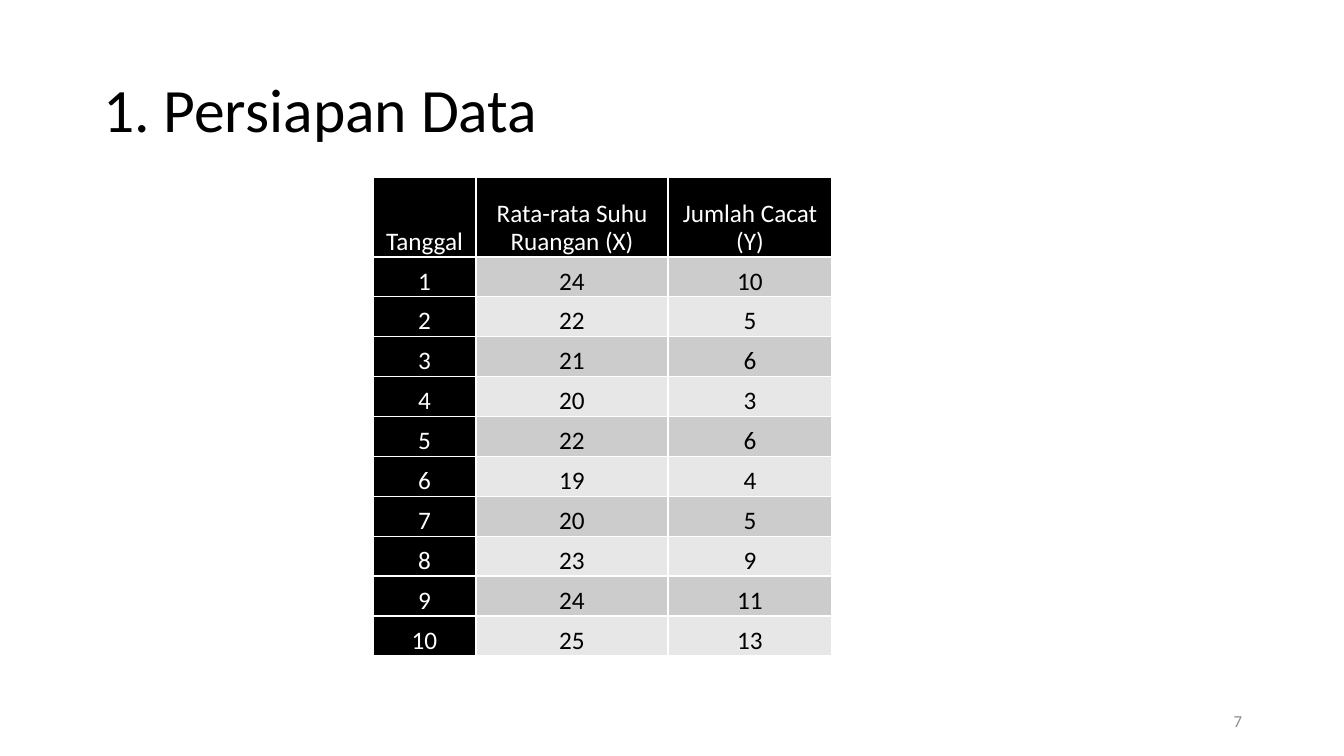
from pptx import Presentation
from pptx.dml.color import RGBColor
from pptx.enum.text import MSO_ANCHOR as Anchor, MSO_AUTO_SIZE as AutoSize, PP_ALIGN as Align
from pptx.oxml import parse_xml
from pptx.oxml.ns import nsdecls
from pptx.util import Pt

PIXEL = 914400 / 100.8
FONT = "Calibri"
BLACK = RGBColor(0x00, 0x00, 0x00)
WHITE = RGBColor(0xFF, 0xFF, 0xFF)
GRAY = RGBColor(0x8C, 0x8C, 0x8C)
DARK_BAND = RGBColor(0xCC, 0xCC, 0xCC)
LIGHT_BAND = RGBColor(0xE7, 0xE7, 0xE7)

HEADINGS = ("Tanggal", "Rata-rata Suhu Ruangan (X)", "Jumlah Cacat (Y)")
TEMPERATURES = (24, 22, 21, 20, 22, 19, 20, 23, 24, 25)
DEFECTS = (10, 5, 6, 3, 6, 4, 5, 9, 11, 13)
COLUMN_WIDTHS = (103, 192, 164)
HEADING_HEIGHT = 80


def emu(pixels):
    return round(pixels * PIXEL)


def write(frame, text, size, color, align, spacing=None):
    frame.text = text
    paragraph = frame.paragraphs[0]
    paragraph.alignment = align
    paragraph.line_spacing = spacing
    font = paragraph.runs[0].font
    font.name, font.size, font.color.rgb = FONT, Pt(size), color


def place_title(slide, box):
    title = slide.shapes.title
    title.left, title.top, title.width, title.height = map(emu, box)
    write(title.text_frame, "1. Persiapan Data", 44, BLACK, Align.LEFT, 0.9)
    title.text_frame.vertical_anchor = Anchor.MIDDLE
    title.text_frame.auto_size = AutoSize.NONE


def add_page_number(slide, box):
    frame = slide.shapes.add_textbox(*map(emu, box)).text_frame
    frame.word_wrap = True
    frame.vertical_anchor = Anchor.MIDDLE
    write(frame, "7", 12, GRAY, Align.RIGHT)


def add_borders(cell):
    properties = cell._tc.get_or_add_tcPr()
    for position, side in enumerate(("lnL", "lnR", "lnT", "lnB")):
        border = parse_xml(
            f'<a:{side} {nsdecls("a")} w="{Pt(1)}"><a:solidFill>'
            f'<a:srgbClr val="{WHITE}"/></a:solidFill></a:{side}>'
        )
        properties.insert(position, border)


def style_cell(cell, value, fill, color):
    cell.margin_left = cell.margin_right = cell.margin_top = cell.margin_bottom = 0
    cell.vertical_anchor = Anchor.BOTTOM
    cell.fill.solid()
    cell.fill.fore_color.rgb = fill
    write(cell.text_frame, str(value), 18, color, Align.CENTER, Pt(19.9))
    add_borders(cell)


def add_measurements(slide, box):
    days = range(1, len(DEFECTS) + 1)
    records = [HEADINGS, *zip(days, TEMPERATURES, DEFECTS)]
    table = slide.shapes.add_table(len(records), len(HEADINGS), *map(emu, box)).table
    table.first_col = True
    for column, width in zip(table.columns, COLUMN_WIDTHS):
        column.width = emu(width)
    day_height = (box[3] - HEADING_HEIGHT) / len(days)
    for day, record in enumerate(records):
        table.rows[day].height = emu(day_height if day else HEADING_HEIGHT)
        band = DARK_BAND if day % 2 else LIGHT_BAND
        for column, value in enumerate(record):
            is_heading = day == 0 or column == 0
            fill, color = (BLACK, WHITE) if is_heading else (band, BLACK)
            style_cell(table.cell(day, column), value, fill, color)


presentation = Presentation()
presentation.slide_width = emu(1344)
presentation.slide_height = emu(756)
slide = presentation.slides.add_slide(presentation.slide_layouts[5])
add_page_number(slide, (950, 701, 302, 40))
place_title(slide, (93, 40, 1159, 146))
add_measurements(slide, (373, 177, sum(COLUMN_WIDTHS), 479))
presentation.save("out.pptx")
